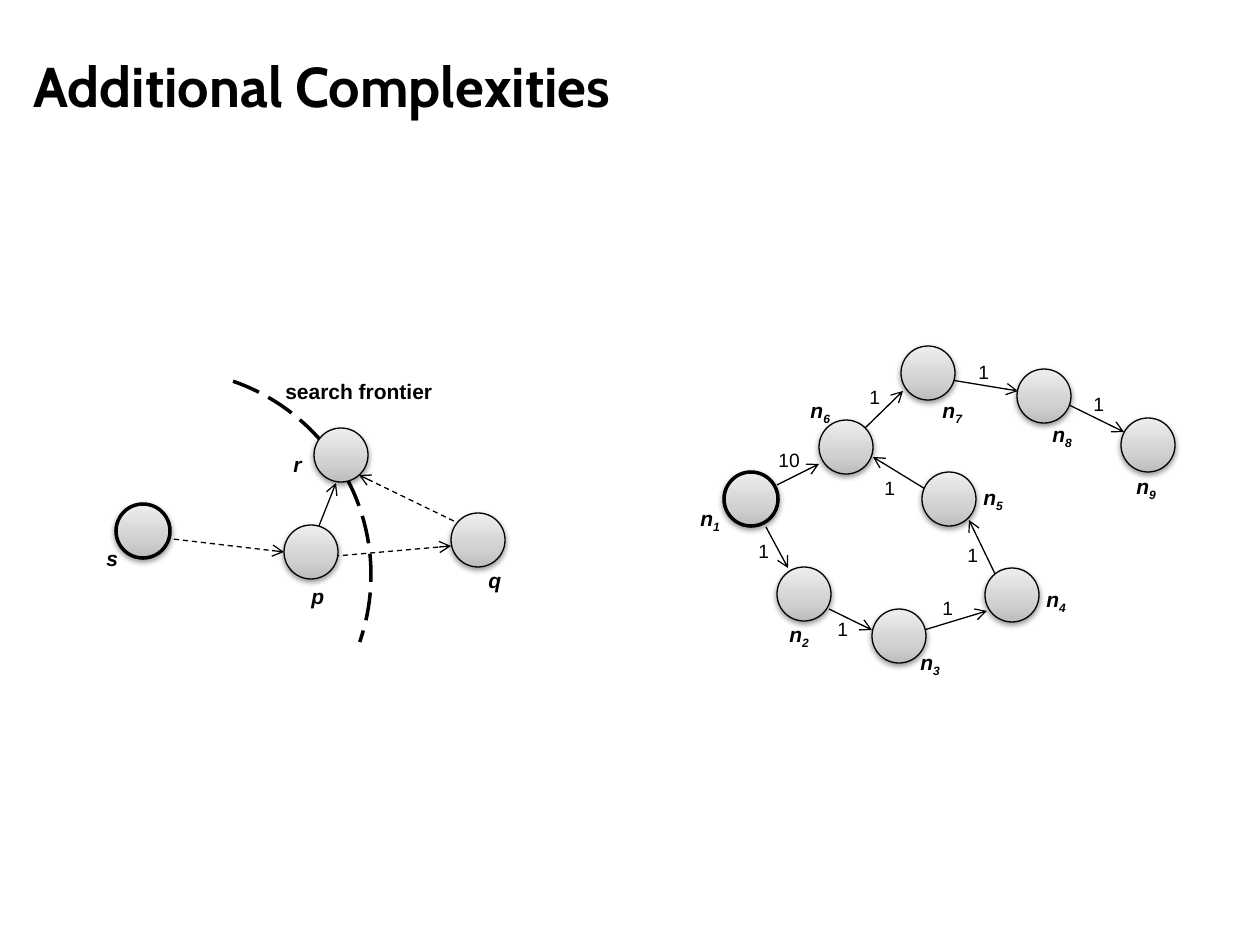
import pptx
import pptx.dml.color
import pptx.enum.dml
import pptx.enum.shapes
import pptx.enum.text
import pptx.oxml
import pptx.oxml.ns
import pptx.util

PX = 914400 / 126
NODE = 54
LABEL_HEIGHT = 38

COLORS = {
    "ink": "000000",
    "node_low": "BDBDBD",
    "node_mid": "D1D1D1",
    "node_high": "EEEEEE",
}
NODE_STOPS = [(0, "node_low"), (35, "node_mid"), (100, "node_high")]

TITLE = {"name": "Cabin", "size": pptx.util.Pt(32), "bold": True}
CAPTION = {"name": "Arial", "size": pptx.util.Pt(12), "bold": True}
NODE_NAME = {**CAPTION, "italic": True}
WEIGHT = {"name": "Arial", "size": pptx.util.Pt(11)}

DASH = pptx.enum.dml.MSO_LINE.DASH
LONG_DASH = pptx.enum.dml.MSO_LINE.LONG_DASH

FRONTIER_EDGES = [
    (147, 536, 284, 552, DASH),
    (325, 557, 451, 546, DASH),
    (462, 525, 359, 475, DASH),
    (315, 536, 336, 483, None),
]
FRONTIER_NODES = [
    ("s", 116, 504, 94, 539, 37),
    ("r", 314, 428, 281, 445, 34),
    ("p", 284, 525, 299, 577, 39),
    ("q", 451, 513, 476, 561, 39),
]
PATH_EDGES = [
    (766, 527, 788, 568, "1", 746, 533),
    (829, 609, 872, 630, "1", 825, 611),
    (924, 630, 987, 611, "1", 930, 590),
    (998, 580, 969, 520, "1", 955, 537),
    (935, 495, 873, 457, "1", 872, 470),
    (777, 485, 819, 464, "10", 766, 442),
    (861, 432, 903, 391, "1", 857, 379),
    (945, 379, 1018, 391, "1", 966, 354),
    (1061, 401, 1124, 432, "1", 1081, 386),
]
PATH_NODES = [
    (724, 472, 688, 499),
    (777, 567, 777, 615),
    (872, 609, 908, 643),
    (985, 568, 1034, 580),
    (922, 472, 971, 478),
    (819, 420, 798, 391),
    (901, 346, 930, 391),
    (1017, 369, 1040, 415),
    (1121, 418, 1124, 467),
]


def emu(*lengths):
    return [round(length * PX) for length in lengths]


def rgb(name):
    return pptx.dml.color.RGBColor.from_string(COLORS[name])


def add_xml(parent, body):
    tag, rest = body.split(" ", 1)
    namespace = pptx.oxml.ns.nsdecls("a")
    parent.append(pptx.oxml.parse_xml(f"<a:{tag} {namespace} {rest}"))


def format_line(line, width, dash=None):
    line.color.rgb = rgb("ink")
    line.width = pptx.util.Pt(width)
    if dash:
        line.dash_style = dash


def add_run(paragraph, text, style):
    run = paragraph.add_run()
    run.text = text
    for attribute, value in style.items():
        setattr(run.font, attribute, value)
    run.font.color.rgb = rgb("ink")
    return run


def add_label(shapes, box, text, style, subscript=""):
    frame = shapes.add_textbox(*emu(*box)).text_frame
    frame.word_wrap = False
    frame.auto_size = pptx.enum.text.MSO_AUTO_SIZE.SHAPE_TO_FIT_TEXT
    paragraph = frame.paragraphs[0]
    add_run(paragraph, text, style)
    if subscript:
        lowered = add_run(paragraph, subscript, style)
        lowered.font._element.set("baseline", "-25000")


def add_title(shapes, text):
    frame = shapes.add_textbox(*emu(21, 15, 1197, 141)).text_frame
    frame.word_wrap = True
    frame.vertical_anchor = pptx.enum.text.MSO_ANCHOR.MIDDLE
    add_run(frame.paragraphs[0], text, TITLE)


def add_node(shapes, left, top, line_width):
    node = shapes.add_shape(pptx.enum.shapes.MSO_SHAPE.OVAL, *emu(left, top, NODE, NODE))
    node.fill.gradient()
    node.fill.gradient_angle = 90
    stops = node._element.spPr.find(".//" + pptx.oxml.ns.qn("a:gsLst"))
    for stop in list(stops):
        stops.remove(stop)
    for position, color in NODE_STOPS:
        add_xml(stops, f'gs pos="{position * 1000}">'
                       f'<a:srgbClr val="{COLORS[color]}"/></a:gs>')
    format_line(node.line, line_width)
    add_xml(node._element.spPr,
            'effectLst ><a:outerShdw blurRad="39400" dist="20300" dir="5400000" rotWithShape="0">'
            f'<a:srgbClr val="{COLORS["ink"]}"><a:alpha val="38000"/></a:srgbClr>'
            '</a:outerShdw></a:effectLst>')


def add_edge(shapes, ends, dash=None):
    edge = shapes.add_connector(pptx.enum.shapes.MSO_CONNECTOR.STRAIGHT, *emu(*ends))
    format_line(edge.line, 0.75, dash)
    add_xml(edge.line._get_or_add_ln(), 'tailEnd type="arrow"/>')
    add_xml(edge._element.spPr, "effectLst />")


def add_frontier_arc(shapes):
    arc = shapes.add_shape(pptx.enum.shapes.MSO_SHAPE.ARC, *emu(-39, 370, 410, 410))
    arc.rotation = 19.1
    arc.shadow.inherit = False
    arc.fill.background()
    format_line(arc.line, 2, LONG_DASH)


def add_frontier_graph(shapes):
    add_frontier_arc(shapes)
    for *ends, dash in FRONTIER_EDGES:
        add_edge(shapes, ends, dash)
    for name, left, top, *_ in FRONTIER_NODES:
        add_node(shapes, left, top, 2 if name == "s" else 0.75)
    for name, _, _, left, top, width in FRONTIER_NODES:
        add_label(shapes, (left, top, width, LABEL_HEIGHT), name, NODE_NAME)
    add_label(shapes, (273, 372, 174, LABEL_HEIGHT), "search frontier", CAPTION)


def add_path_graph(shapes):
    for *ends, _, _, _ in PATH_EDGES:
        add_edge(shapes, ends)
    for number, (left, top, *_) in enumerate(PATH_NODES, 1):
        add_node(shapes, left, top, 2 if number == 1 else 0.75)
    for number, (_, _, left, top) in enumerate(PATH_NODES, 1):
        add_label(shapes, (left, top, 47, LABEL_HEIGHT), "n", NODE_NAME, str(number))
    for *_, weight, left, top in PATH_EDGES:
        width = 27 + 10 * len(weight)
        add_label(shapes, (left, top, width, 37), weight, WEIGHT)


def main():
    deck = pptx.Presentation()
    deck.slide_width, deck.slide_height = emu(1260, 945)
    slide = deck.slides.add_slide(deck.slide_layouts[6])
    add_title(slide.shapes, "Additional Complexities")
    add_frontier_graph(slide.shapes)
    add_path_graph(slide.shapes.add_group_shape().shapes)
    deck.save("out.pptx")


if __name__ == "__main__":
    main()
